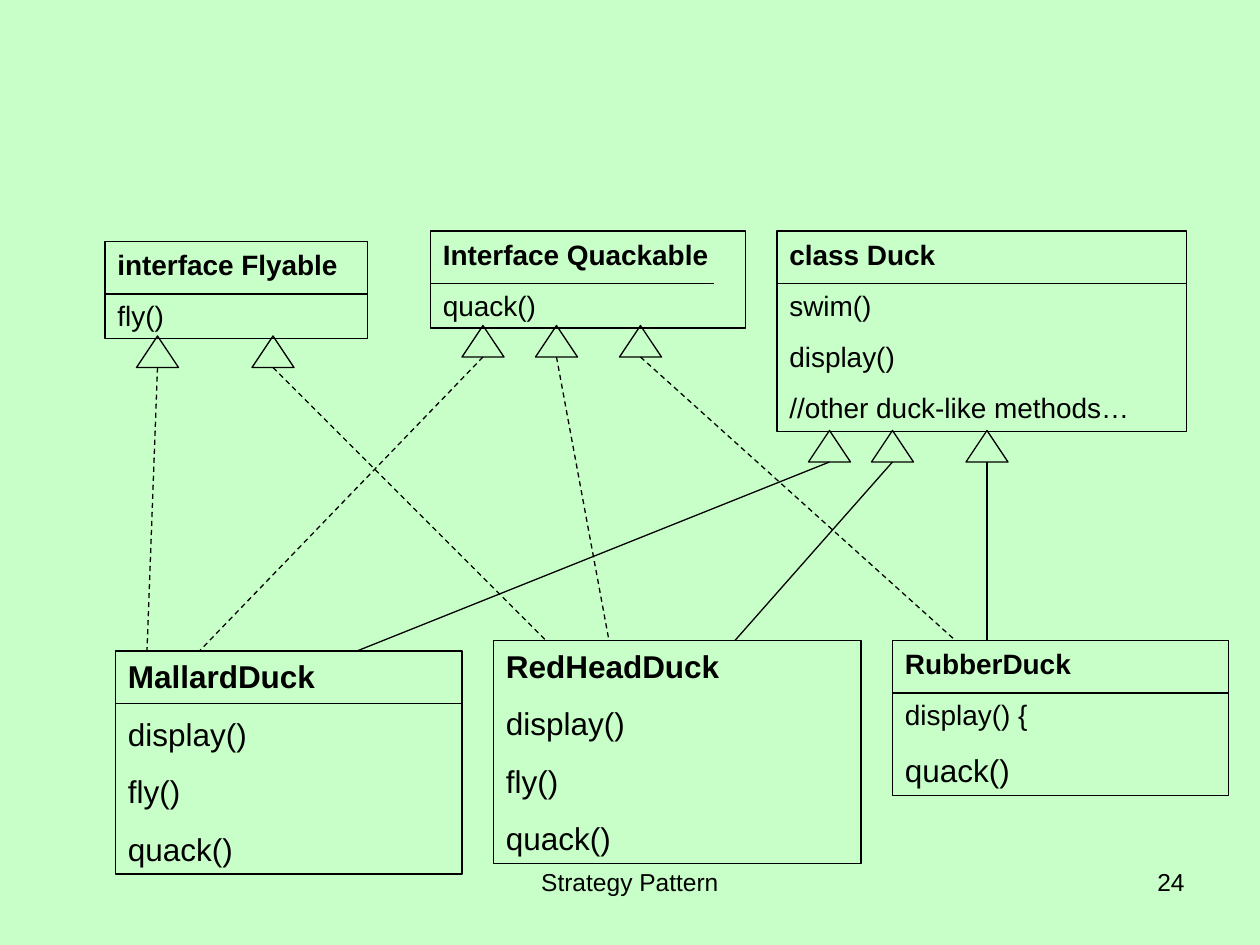
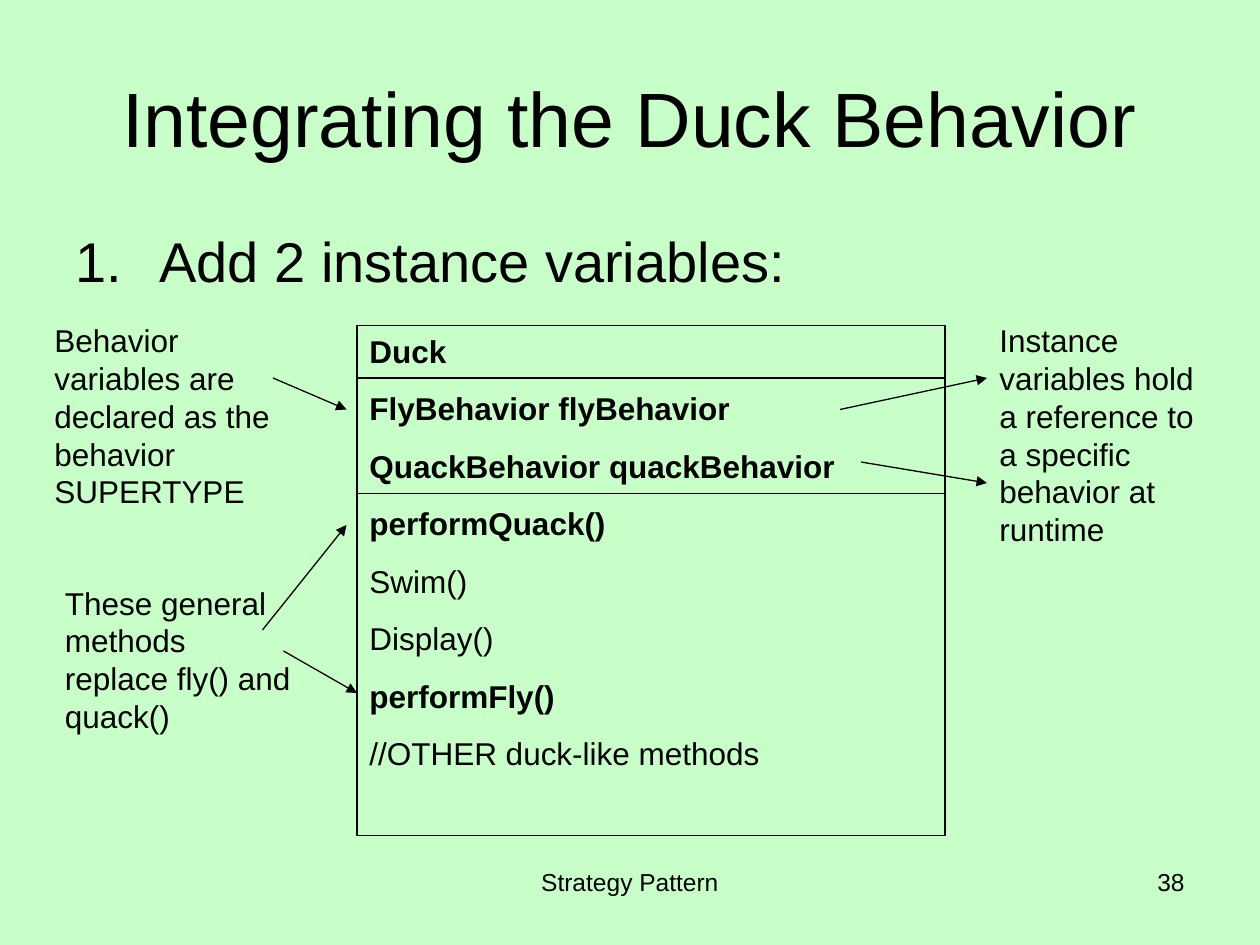
from dataclasses import dataclass

from lxml import etree
from pptx import Presentation
from pptx import util as u
from pptx.dml.color import RGBColor
from pptx.enum import dml, shapes, text
from pptx.oxml.ns import qn

BACKGROUND = RGBColor(0xC8, 0xFF, 0xC8)
INK = RGBColor(0, 0, 0)
FONT = "Arial"
LINE_WIDTH = u.Pt(0.75)
COLUMNS, ROWS = 120, 90
SLIDE_WIDTH, SLIDE_HEIGHT = u.Inches(10), u.Inches(7.5)
PARAGRAPH_GAP = 0.625
HEADER_ROWS = 5
TRIANGLE_WIDTH, TRIANGLE_HEIGHT = 4, 3


@dataclass
class Box:
    left: float
    top: float
    width: float
    height: float

    def at(self, column, row):
        return self.left + column, self.top + row


def across(columns):
    return round(SLIDE_WIDTH * columns / COLUMNS)


def down(rows):
    return round(SLIDE_HEIGHT * rows / ROWS)


def place(box):
    return across(box.left), down(box.top), across(box.width), down(box.height)


def add_outline(slide, kind, box):
    shape = slide.shapes.add_shape(kind, *place(box))
    shape.shadow.inherit = False
    shape.fill.background()
    shape.line.color.rgb = INK
    shape.line.width = LINE_WIDTH
    return shape


def add_line(slide, start, end, dashed=False, arrow=False):
    line = slide.shapes.add_connector(
        shapes.MSO_CONNECTOR.STRAIGHT,
        across(start[0]), down(start[1]), across(end[0]), down(end[1]))
    line.line.color.rgb = INK
    line.line.width = LINE_WIDTH
    if dashed:
        line.line.dash_style = dml.MSO_LINE.DASH
    if arrow:
        outline = line.line._get_or_add_ln()
        etree.SubElement(outline, qn("a:tailEnd"), type="triangle")
    etree.SubElement(line._element.spPr, qn("a:effectLst"))


def write(shape, lines, align=text.PP_ALIGN.LEFT,
          anchor=text.MSO_ANCHOR.TOP, gap=PARAGRAPH_GAP):
    frame = shape.text_frame
    frame.word_wrap = True
    frame.vertical_anchor = anchor
    for index, (words, size, bold) in enumerate(lines):
        paragraph = frame.add_paragraph() if index else frame.paragraphs[0]
        paragraph.alignment = align
        paragraph.space_before = u.Pt(size * gap)
        run = paragraph.add_run()
        run.text = words
        run.font.name = FONT
        run.font.size = u.Pt(size)
        run.font.bold = bold
        run.font.color.rgb = INK


def add_text(slide, box, words, size, **layout):
    shape = slide.shapes.add_textbox(*place(box))
    write(shape, [(words, size, False)], **layout)
    return shape


def add_numbered_step(slide, box, words):
    shape = add_text(slide, box, words, 32, gap=0.25)
    properties = shape.text_frame.paragraphs[0]._p.get_or_add_pPr()
    indent = across(8)
    properties.set("marL", str(indent))
    properties.set("indent", str(-indent))
    etree.SubElement(properties, qn("a:buFont"), typeface=FONT)
    etree.SubElement(properties, qn("a:buAutoNum"), type="arabicPeriod")


def add_class(slide, box, lines, dividers=(HEADER_ROWS,), divider_width=None):
    write(add_outline(slide, shapes.MSO_SHAPE.RECTANGLE, box), lines)
    for row in dividers:
        add_line(slide, box.at(0, row), box.at(divider_width or box.width, row))


def add_inheritance(slide, parent, tip, child, foot, dashed):
    column, row = parent.at(tip, int(parent.height))
    triangle = Box(column - TRIANGLE_WIDTH / 2, row, TRIANGLE_WIDTH, TRIANGLE_HEIGHT)
    add_outline(slide, shapes.MSO_SHAPE.ISOSCELES_TRIANGLE, triangle)
    add_line(slide, (column, row + TRIANGLE_HEIGHT), child.at(foot, 0), dashed=dashed)


def members(size, name, *methods):
    return [(name, size, True)] + [(method, size, False) for method in methods]


def add_base_slide(presentation, number):
    slide = presentation.slides.add_slide(presentation.slide_layouts[6])
    slide.background.fill.solid()
    slide.background.fill.fore_color.rgb = BACKGROUND
    add_text(slide, Box(41, 82, 38, 6.25), "Strategy Pattern", 14,
             align=text.PP_ALIGN.CENTER)
    add_text(slide, Box(86, 82, 28, 6.25), str(number), 14,
             align=text.PP_ALIGN.RIGHT)
    return slide


def add_hierarchy(slide):
    duck = Box(74, 22, 39, 19.1)
    flyable = Box(10, 23, 25, 9.25)
    quackable = Box(41, 22, 30, 9.25)
    mallard = Box(11, 62, 33, 21.25)
    redhead = Box(47, 61, 35, 21.25)
    rubber = Box(85, 61, 32, 14.75)

    add_class(slide, duck, members(16, "class Duck", "swim()", "display()",
                                   "//other duck-like methods…"))
    add_class(slide, flyable, members(16, "interface Flyable", "fly()"))
    add_class(slide, quackable, members(16, "Interface Quackable", "quack()"),
              divider_width=27)
    duck_methods = ("display()", "fly()", "quack()")
    add_class(slide, mallard, members(18, "MallardDuck", *duck_methods))
    add_class(slide, redhead, members(18, "RedHeadDuck", *duck_methods), dividers=())
    add_class(slide, rubber, members(16, "RubberDuck", "display() {")
              + [("quack()", 18, False)])

    for parent, tip, child, foot in (
            (duck, 5, mallard, 23), (duck, 11, redhead, 23), (duck, 20, rubber, 9),
            (quackable, 5, mallard, 8), (quackable, 12, redhead, 11),
            (quackable, 20, rubber, 6),
            (flyable, 5, mallard, 3), (flyable, 16, redhead, 5)):
        add_inheritance(slide, parent, tip, child, foot, dashed=parent is not duck)


def add_annotated_duck(slide, duck):
    add_class(slide, duck, [
        ("Duck", 18, True),
        ("FlyBehavior flyBehavior", 18, True),
        ("QuackBehavior quackBehavior", 18, True),
        ("performQuack()", 18, True),
        ("Swim()", 18, False),
        ("Display()", 18, False),
        ("performFly()", 18, True),
        ("//OTHER duck-like methods", 18, False),
    ], dividers=(HEADER_ROWS, 16))

    for column, row, width, height, words in (
            (60, -1, 23, 22.8,
             "Instance variables hold a reference to a specific behavior at runtime"),
            (-30, -1, 27, 19.2,
             "Behavior variables are declared as the behavior SUPERTYPE"),
            (-29, 24, 24, 15.6,
             "These general methods replace fly() and quack()")):
        add_text(slide, Box(*duck.at(column, row), width, height), words, 18)

    for start, end in (((46, 8), (60, 5)), ((48, 13), (60, 15)),
                       ((-8, 5), (-1, 8)), ((-9, 29), (-1, 19)),
                       ((-7, 31), (0, 35))):
        add_line(slide, duck.at(*start), duck.at(*end), arrow=True)


def main():
    presentation = Presentation()
    presentation.slide_width = SLIDE_WIDTH
    presentation.slide_height = SLIDE_HEIGHT

    add_hierarchy(add_base_slide(presentation, 24))

    integration = add_base_slide(presentation, 38)
    add_text(integration, Box(6, 3.6, 108, 15), "Integrating the Duck Behavior", 44,
             align=text.PP_ALIGN.CENTER, anchor=text.MSO_ANCHOR.MIDDLE, gap=0)
    add_numbered_step(integration, Box(6, 21, 108, 59.4), "Add 2 instance variables:")
    add_annotated_duck(integration, Box(34, 31, 56, 48.6))

    presentation.save("out.pptx")


if __name__ == "__main__":
    main()
